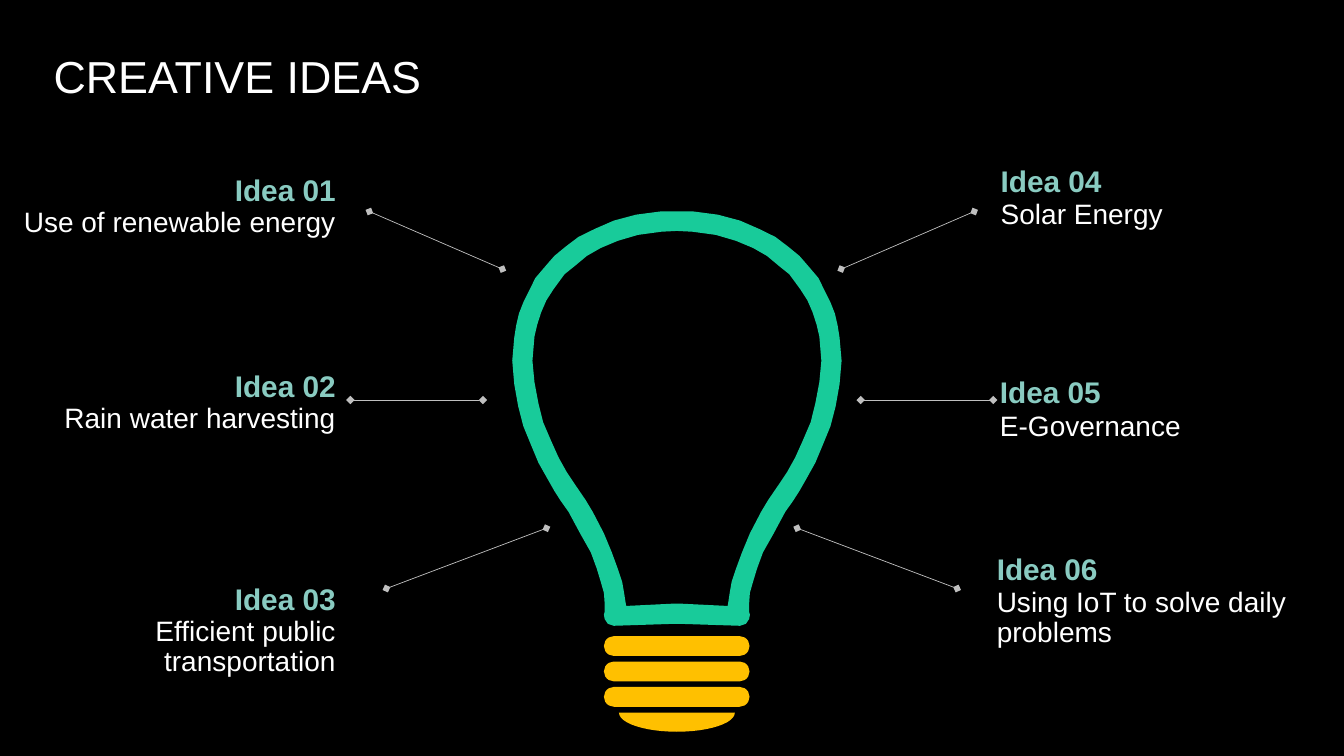
from math import cos, pi, sin

from pptx import Presentation
from pptx.dml.color import RGBColor
from pptx.enum.shapes import MSO_CONNECTOR, MSO_SHAPE
from pptx.enum.text import MSO_ANCHOR, PP_ALIGN
from pptx.oxml.ns import qn
from pptx.util import Cm, Pt
from lxml.etree import SubElement

BLACK = RGBColor(0x00, 0x00, 0x00)
WHITE = RGBColor(0xFF, 0xFF, 0xFF)
MINT = RGBColor(0x89, 0xCB, 0xC1)
GREEN = RGBColor(0x18, 0xCB, 0x9A)
AMBER = RGBColor(0xFF, 0xC0, 0x00)
GREY = RGBColor(0xBF, 0xBF, 0xBF)

TITLE = "CREATIVE IDEAS"
# heading, text, top, lines of text
LEFT = [
    ("Idea 01", "Use of renewable energy", 4.42, 1),
    ("Idea 02", "Rain water harvesting", 9.37, 1),
    ("Idea 03", "Efficient public transportation", 14.73, 2),
]
# heading, text, top, lines of text, left edge
RIGHT = [
    ("Idea 04", "Solar Energy", 4.19, 1, 25.22),
    ("Idea 05", "E-Governance", 9.53, 1, 25.2),
    ("Idea 06", "Using IoT to solve daily problems", 13.97, 2, 25.12),
]
# inner and outer ends: distance from the slide's middle, height
SPOKES = [
    ((4.27, 6.78), (7.62, 5.33)),
    ((4.76, 10.08), (8.1, 10.08)),
    ((3.16, 13.31), (7.19, 14.83)),
]
# right half of the glass: distance from the bulb's axis, height
OUTER = [
    (0, 5.33), (0.42, 5.33), (1.03, 5.41), (1.59, 5.56), (2.07, 5.77),
    (2.48, 5.97), (2.81, 6.22), (3.09, 6.45), (3.29, 6.68), (3.57, 7.01),
    (3.72, 7.32), (3.87, 7.62), (3.98, 7.9), (4.05, 8.2), (4.1, 8.51),
    (4.15, 9.09), (4.1, 9.68), (4, 10.24), (3.87, 10.74), (3.67, 11.23),
    (3.49, 11.66), (3.26, 12.07), (3.09, 12.37), (2.93, 12.62), (2.73, 12.9),
    (2.43, 13.46), (2.17, 13.92), (2.02, 14.33), (1.92, 14.66), (1.84, 14.94),
    (1.82, 15.21), (1.82, 15.42), (1.84, 15.49), (1.82, 15.6), (1.74, 15.72),
    (1.59, 15.77), (0.06, 15.72),
]
INNER = [
    (0, 5.82), (0.39, 5.84), (0.98, 5.92), (1.49, 6.07), (1.92, 6.25),
    (2.27, 6.45), (2.58, 6.71), (2.83, 6.91), (3.11, 7.29), (3.29, 7.57),
    (3.42, 7.87), (3.52, 8.18), (3.59, 8.48), (3.64, 9.09), (3.59, 9.63),
    (3.49, 10.16), (3.37, 10.64), (3.16, 11.13), (2.98, 11.53), (2.78, 11.89),
    (2.58, 12.19), (2.3, 12.6), (2.12, 12.9), (1.84, 13.44), (1.64, 13.92),
    (1.49, 14.33), (1.38, 14.66), (1.33, 14.94), (1.28, 15.27), (0.06, 15.21),
]
MID, AXIS = 16.93, 17.06
EDGE = 8.46
HEAD_W, BODY_W = 5.66, 8.08

deck = Presentation()
deck.slide_width, deck.slide_height = Cm(33.87), Cm(19.05)
slide = deck.slides.add_slide(deck.slide_layouts[6])
slide.background.fill.solid()
slide.background.fill.fore_color.rgb = BLACK
shapes = slide.shapes


def paint(shape, color):
    shape.shadow.inherit = False
    shape.fill.solid()
    shape.fill.fore_color.rgb = color
    shape.line.fill.background()


def outline(color, *loops):
    """Fill the area between closed loops of points around the bulb's axis."""
    paths = [[(Cm(AXIS + x), Cm(y)) for x, y in loop] for loop in loops]
    build = shapes.build_freeform(*paths[0][0], scale=1.0)
    build.add_line_segments(paths[0][1:])
    for path in paths[1:]:
        build.move_to(*path[0])
        build.add_line_segments(path[1:])
    paint(build.convert_to_shape(), color)


def mirror(half):
    return half + [(-x, y) for x, y in reversed(half[1:])]


def write(text, box, size, color, bold=False, align=PP_ALIGN.LEFT, space=0.9):
    frame = shapes.add_textbox(*map(Cm, box)).text_frame
    frame.word_wrap = True
    frame.margin_left = frame.margin_right = 0
    frame.margin_top = frame.margin_bottom = 0
    para = frame.paragraphs[0]
    para.text = text
    para.alignment, para.line_spacing = align, space
    font = para.font
    font.name, font.size, font.bold = "Arial", Pt(size), bold
    font.color.rgb = color
    return frame


def spoke(start, end, side):
    ends = [Cm(v) for x, y in (start, end) for v in (MID + side * x, y)]
    line = shapes.add_connector(MSO_CONNECTOR.STRAIGHT, *ends)
    line.line.color.rgb = GREY
    line.line.width = Pt(0.5)
    stroke = line.line._get_or_add_ln()
    for tag in ("a:headEnd", "a:tailEnd"):
        SubElement(stroke, qn(tag), type="diamond")
    SubElement(line._element.spPr, qn("a:effectLst"))


def idea(head, body, top, rows, left, gap, align):
    """Write a heading and its text; right-aligned pairs end at EDGE."""
    flush = align == PP_ALIGN.RIGHT
    for text, width, y, height, size, color, bold in (
        (body, BODY_W, top + gap, 0.77 * rows, 20, WHITE, False),
        (head, HEAD_W, top, 0.81, 21.3, MINT, True),
    ):
        x = EDGE - width if flush else left
        write(text, (x, y, width, height), size, color, bold, align)


title = write(TITLE, (1.35, 1.22, 30.45, 1.37), 32, WHITE, space=1.0)
title.vertical_anchor = MSO_ANCHOR.BOTTOM

for i in range(3):
    ring = shapes.add_shape(MSO_SHAPE.ROUNDED_RECTANGLE, Cm(AXIS - 1.84),
                            Cm(16.03 + 0.64 * i), Cm(3.67), Cm(0.5))
    ring.adjustments[0] = 0.5
    paint(ring, AMBER)
arc = [pi * i / 24 for i in range(25)]
outline(AMBER, [(1.46 * cos(a), 17.96 + 0.48 * sin(a)) for a in arc])
outline(GREEN, mirror(OUTER), mirror(INNER))

for side in (1, -1):
    for start, end in SPOKES:
        spoke(start, end, side)

for head, body, top, rows, left in RIGHT:
    idea(head, body, top, rows, left, 0.86, PP_ALIGN.LEFT)
for head, body, top, rows in LEFT:
    idea(head, body, top, rows, None, 0.82, PP_ALIGN.RIGHT)

deck.save("out.pptx")
